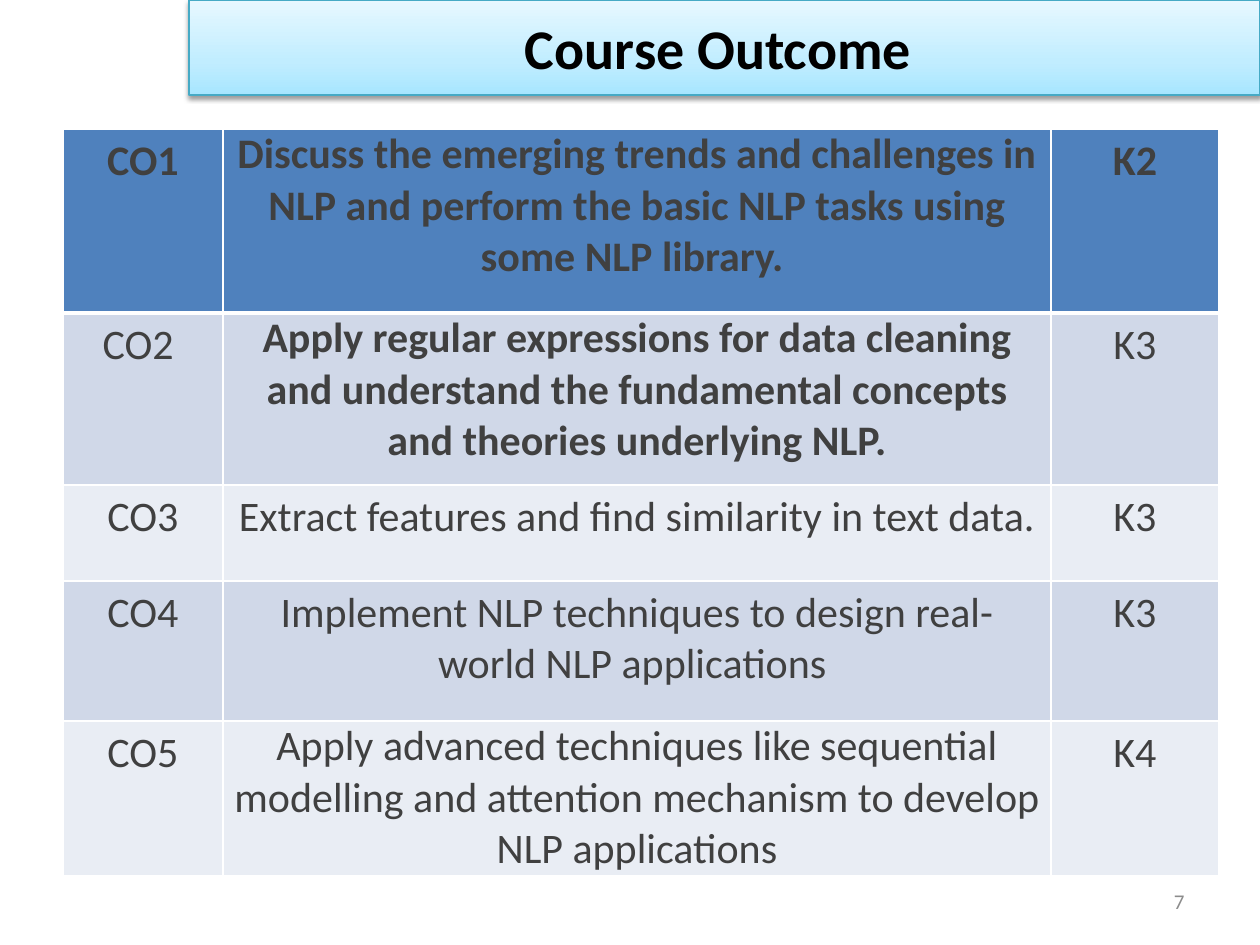
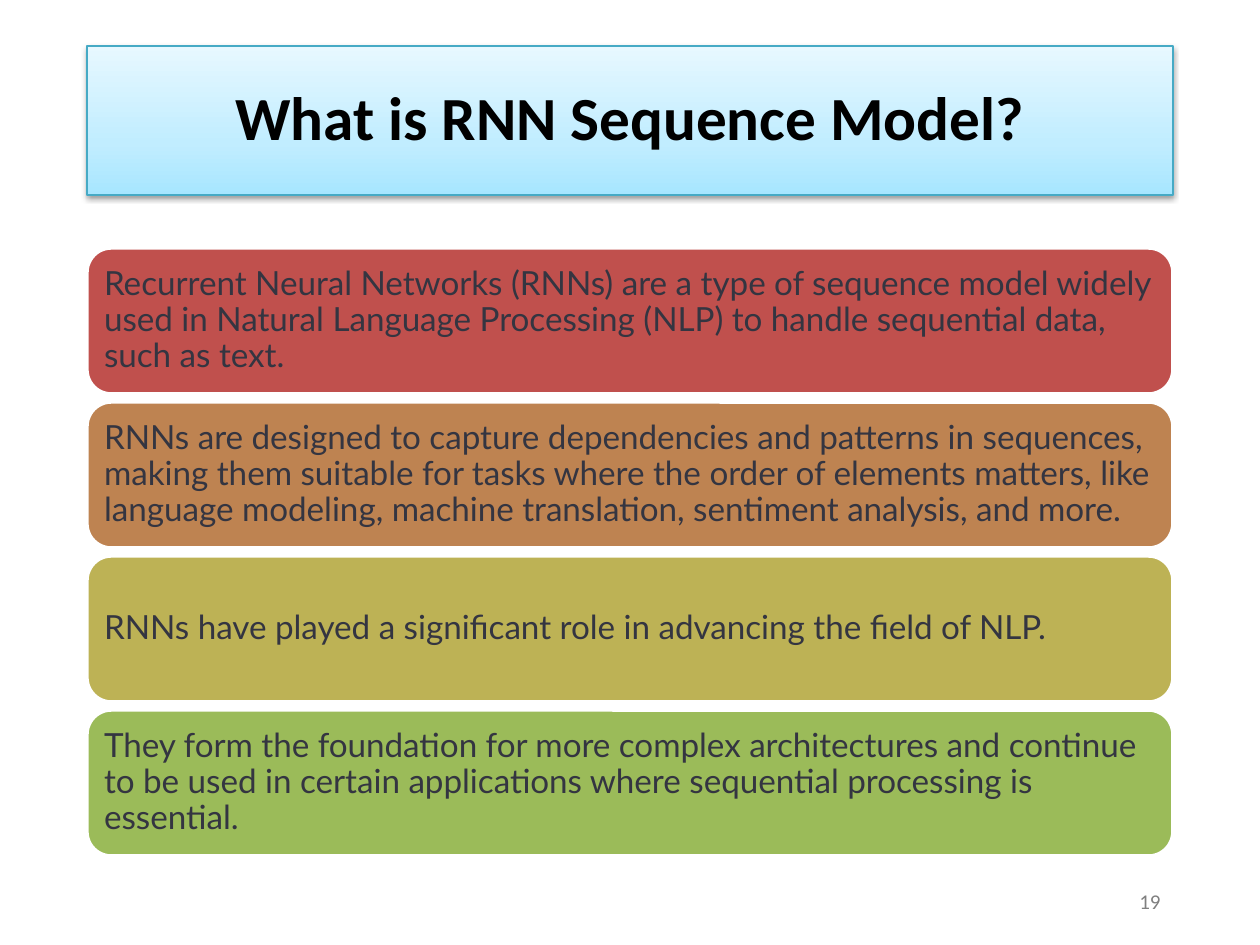
import pptx
import pptx.dml.color
import pptx.enum.shapes
import pptx.enum.text
import pptx.oxml.ns
import pptx.util
from lxml import etree

EMU_PER_PX = 914400 / 126
ALIGN = pptx.enum.text.PP_ALIGN
ANCHOR = pptx.enum.text.MSO_ANCHOR
SHAPE = pptx.enum.shapes.MSO_SHAPE

COLORS = {
    "banner_bottom": "A7E6FF",
    "banner_middle": "C1EDFF",
    "banner_top": "E7F8FF",
    "banner_edge": "46AAC5",
    "black": "000000",
    "white": "FFFFFF",
    "outcome_text": "404040",
    "outcome_first": "4F81BD",
    "outcome_dark": "D0D8E8",
    "outcome_light": "E9EDF4",
    "card_text": "343541",
    "red": "C0504D",
    "orange": "BE8351",
    "olive": "BDB255",
    "green": "9BBB59",
    "light_gray": "8C8C8C",
    "gray": "808080",
}
BANNER_STOPS = [(0, "banner_bottom"), (35, "banner_middle"), (100, "banner_top")]

OUTCOME_COLUMNS = [160, 828, 168]
OUTCOME_ROWS = [184, 172, 96, 140, 155]
OUTCOME_FILLS = ["outcome_first", "outcome_dark", "outcome_light", "outcome_dark", "outcome_light"]
FLUSH_ROWS = (0, 1, 4)
BOLD_CELLS = {(0, 0), (0, 1), (0, 2), (1, 1)}
OUTCOMES = [
    ("CO1", "Discuss the emerging trends and challenges in NLP and perform the basic "
            "NLP tasks using some NLP library. ", "K2"),
    ("CO2 ", "Apply regular expressions for data cleaning and understand the "
             "fundamental concepts and theories underlying NLP.", "K3"),
    ("CO3", "Extract features and find similarity in text data.", "K3"),
    ("CO4", "Implement NLP techniques to design real-world NLP applications ", "K3"),
    ("CO5", "Apply advanced techniques like sequential modelling and attention "
            "mechanism to develop NLP applications", "K4"),
]

CARD_TOP, CARD_PITCH, CARD_HEIGHT = 248, 154, 146
RNN_FACTS = [
    ("red", "Recurrent Neural Networks (RNNs) are a type of sequence model widely used in "
            "Natural Language Processing (NLP) to handle sequential data, such as text."),
    ("orange", "RNNs are designed to capture dependencies and patterns in sequences, making "
               "them suitable for tasks where the order of elements matters, like language "
               "modeling, machine translation, sentiment analysis, and more."),
    ("olive", "RNNs have played a significant role in advancing the field of NLP."),
    ("green", "They form the foundation for more complex architectures and continue to be "
              "used in certain applications where sequential processing is essential."),
]


def px(length):
    return pptx.util.Emu(round(length * EMU_PER_PX))


def rgb(color):
    return pptx.dml.color.RGBColor.from_string(COLORS[color])


def set_all(target, formats):
    for attribute, value in formats.items():
        setattr(target, attribute, value)


def add_xml(parent, tag, **attributes):
    values = {key: str(value) for key, value in attributes.items()}
    return etree.SubElement(parent, pptx.oxml.ns.qn(tag), values)


def write(frame, text, color, size, align, font="Calibri", bold=False, spacing=None):
    paragraph = frame.paragraphs[0]
    set_all(paragraph, {"alignment": align, "line_spacing": spacing})
    run = paragraph.add_run()
    run.text = text
    set_all(run.font, {"name": font, "size": pptx.util.Pt(size), "bold": bold})
    run.font.color.rgb = rgb(color)


def add_outlined(slide, kind, box, edge, width):
    outlined = slide.shapes.add_shape(kind, *map(px, box))
    outlined.shadow.inherit = False
    outlined.line.color.rgb = rgb(edge)
    outlined.line.width = pptx.util.Pt(width)
    set_all(outlined.text_frame, {"word_wrap": True, "vertical_anchor": ANCHOR.MIDDLE})
    return outlined


def add_banner(slide, box, title, size, spacing=None):
    banner = add_outlined(slide, SHAPE.RECTANGLE, box, "banner_edge", 0.75)
    banner.fill.gradient()
    banner.fill.gradient_angle = 90
    properties = banner.element.spPr
    stops = properties.find(".//" + pptx.oxml.ns.qn("a:gsLst"))
    for default_stop in list(stops):
        stops.remove(default_stop)
    for position, color in BANNER_STOPS:
        stop = add_xml(stops, "a:gs", pos=position * 1000)
        add_xml(stop, "a:srgbClr", val=COLORS[color])
    effects = properties.find(pptx.oxml.ns.qn("a:effectLst"))
    shadow = add_xml(effects, "a:outerShdw", blurRad=pptx.util.Pt(3.1),
                     dist=pptx.util.Pt(1.6), dir=5400000, rotWithShape=0)
    shade = add_xml(shadow, "a:srgbClr", val=COLORS["black"])
    add_xml(shade, "a:alpha", val=38000)
    write(banner.text_frame, title, "black", size, ALIGN.CENTER, bold=True, spacing=spacing)


def add_page_number(slide, left, width, number, color):
    frame = slide.shapes.add_textbox(*map(px, (left, 876, width, 50))).text_frame
    set_all(frame, {"word_wrap": True, "vertical_anchor": ANCHOR.MIDDLE})
    write(frame, number, color, 12, ALIGN.RIGHT)


def add_cell_borders(cell, bottom_width):
    properties = cell._tc.get_or_add_tcPr()
    for side, width in (("L", 1), ("R", 1), ("T", 1), ("B", bottom_width)):
        border = add_xml(properties, "a:ln" + side, w=pptx.util.Pt(width))
        add_xml(add_xml(border, "a:solidFill"), "a:srgbClr", val=COLORS["white"])


def add_outcome_table(slide):
    box = (63, 129, sum(OUTCOME_COLUMNS), sum(OUTCOME_ROWS))
    outcomes = slide.shapes.add_table(
        len(OUTCOME_ROWS), len(OUTCOME_COLUMNS), *map(px, box)).table
    set_all(outcomes, {"first_row": False, "horz_banding": False})
    for column, width in zip(outcomes.columns, OUTCOME_COLUMNS):
        column.width = px(width)
    for r, (height, fill, texts) in enumerate(zip(OUTCOME_ROWS, OUTCOME_FILLS, OUTCOMES)):
        outcomes.rows[r].height = px(height)
        for c, text in enumerate(texts):
            cell = outcomes.cell(r, c)
            add_cell_borders(cell, 3 if r == 0 else 1)
            cell.fill.solid()
            cell.fill.fore_color.rgb = rgb(fill)
            if c == 1 and r in FLUSH_ROWS:
                set_all(cell, {"margin_left": px(9), "margin_right": px(9),
                               "margin_top": 0, "margin_bottom": 0})
            write(cell.text_frame, text, "outcome_text", 24, ALIGN.CENTER,
                  bold=(r, c) in BOLD_CELLS)


def add_fact_card(slide, top, color, fact):
    card = add_outlined(slide, SHAPE.ROUNDED_RECTANGLE, (87, top, 1086, CARD_HEIGHT), "white", 2)
    card.fill.solid()
    card.fill.fore_color.rgb = rgb(color)
    sides = ("left", "right", "top", "bottom")
    set_all(card.text_frame, {"margin_" + side: px(10) for side in sides})
    write(card.text_frame, fact, "card_text", 19, ALIGN.LEFT, font="Lato", spacing=0.9)


def main():
    deck = pptx.Presentation()
    set_all(deck, {"slide_width": px(1260), "slide_height": px(945)})
    blank = deck.slide_layouts[6]

    outcome_slide = deck.slides.add_slide(blank)
    add_page_number(outcome_slide, 903, 294, "7", "light_gray")
    add_banner(outcome_slide, (189, 0, 1071, 95), "Course Outcome ", 32)
    add_outcome_table(outcome_slide)

    rnn_slide = deck.slides.add_slide(blank)
    add_banner(rnn_slide, (87, 46, 1086, 149), "What is RNN Sequence Model?", 35, spacing=0.9)
    add_page_number(rnn_slide, 901, 272, "19", "gray")
    for index, (color, fact) in enumerate(RNN_FACTS):
        add_fact_card(rnn_slide, CARD_TOP + index * CARD_PITCH, color, fact)

    deck.save("out.pptx")


if __name__ == "__main__":
    main()
